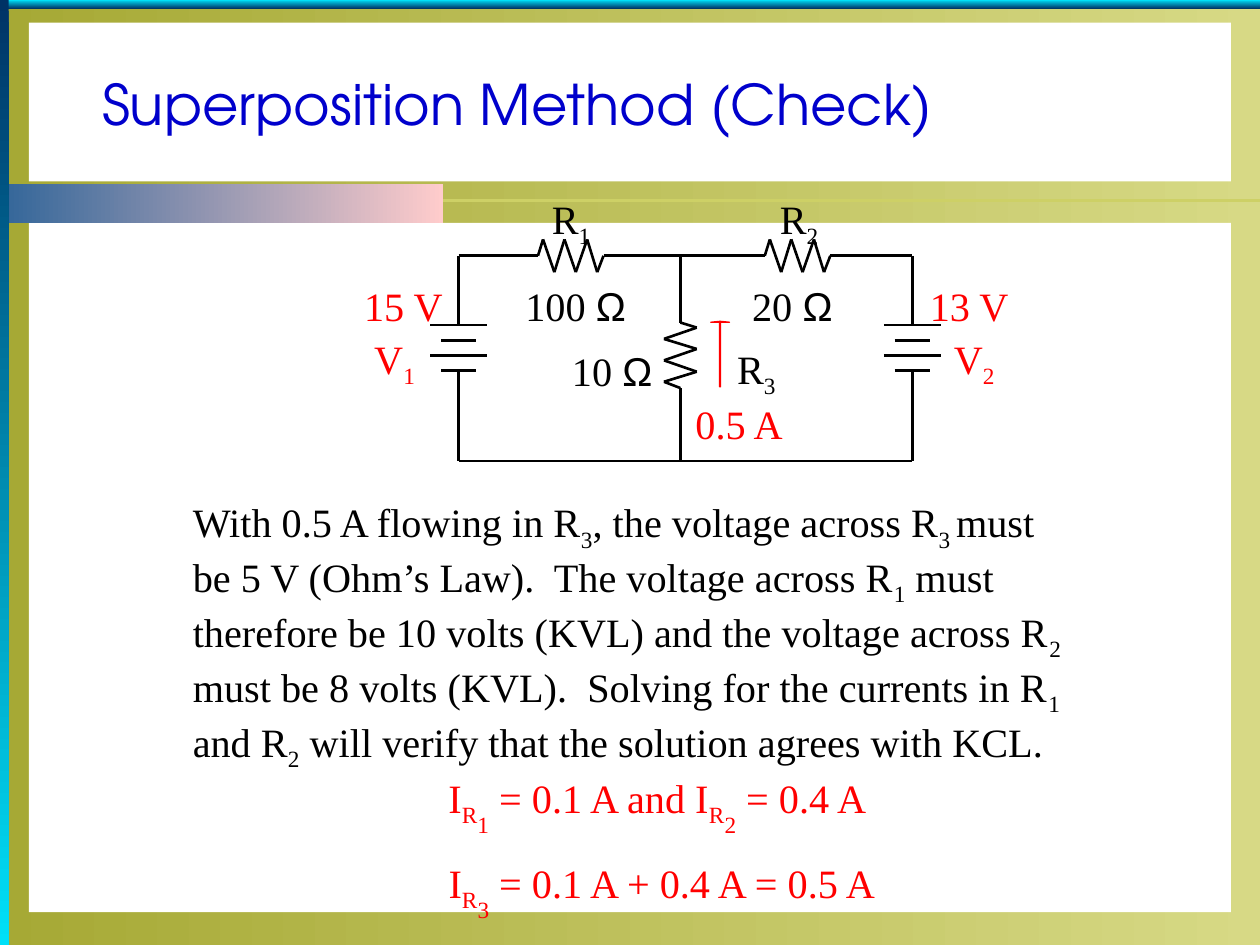
from itertools import pairwise
from lxml.etree import SubElement
from pptx import Presentation
from pptx.dml.color import RGBColor
from pptx.enum.shapes import MSO_CONNECTOR as CONNECTOR, MSO_SHAPE as SHAPE
from pptx.enum.text import MSO_ANCHOR as ANCHOR, PP_ALIGN as ALIGN
from pptx.oxml.ns import qn
from pptx.util import Inches, Pt

W, H = 10, 7.5
BLACK, RED, WHITE, BLUE = "000000", "FF0000", "FFFFFF", "0000CC"
SERIF, SANS, TITLE_FONT = "Times New Roman", "Arial", "TeX Gyre Adventor"
OLIVE, NAVY_CYAN, PINK_BLUE = ("D7D985", "A6A935"), ("003366", "00E0F8"), ("FFCCCC", "336699")

# Content: a line is plain text, with "_" before a subscript in braces, "__" for a deeper one
TITLE = "Superposition Method (Check)"
EXPLANATION = [
    "With 0.5 A flowing in R_{3}, the voltage across R_{3 }must",
    "be 5 V (Ohm’s Law).  The voltage across R_{1} must",
    "therefore be 10 volts (KVL) and the voltage across R_{2}",
    "must be 8 volts (KVL).  Solving for the currents in R_{1}",
    "and R_{2} will verify that the solution agrees with KCL.",
]
# left, top, width, height, colour, lines
LABELS = [
    (4.27, 1.48, 0.53, 0.55, BLACK, ["R_{1}"]),
    (6.08, 1.48, 0.53, 0.55, BLACK, ["R_{2}"]),
    (5.74, 2.67, 0.53, 0.55, BLACK, ["R_{3}"]),
    (2.86, 2.59, 0.55, 0.55, RED, ["V_{1}"]),
    (7.46, 2.59, 0.55, 0.55, RED, ["V_{2}"]),
    (4.06, 2.17, 1.03, 0.49, BLACK, ["100 Ω"]),
    (5.86, 2.17, 0.87, 0.49, BLACK, ["20 Ω"]),
    (4.43, 2.69, 0.87, 0.49, BLACK, ["10 Ω"]),
    (2.78, 2.17, 0.85, 0.49, RED, ["15 V"]),
    (7.27, 2.17, 0.85, 0.49, RED, ["13 V"]),
    (5.41, 3.11, 0.92, 0.49, RED, ["0.5 A"]),
    (1.42, 3.89, 7.11, 2.29, BLACK, EXPLANATION),
    (3.45, 6.08, 3.54, 0.63, RED, ["I_{R}__{1} = 0.1 A and I_{R}__{2} = 0.4 A"]),
    (3.45, 6.75, 3.61, 0.63, RED, ["I_{R}__{3} = 0.1 A + 0.4 A = 0.5 A"]),
]

# Circuit geometry
LEFT, MIDDLE, RIGHT, TOP, BOTTOM = 3.64, 5.4, 7.24, 2.03, 3.66
BATTERY_TOP, PLATE_GAP, PLATES = 2.58, 0.12, (0.45, 0.28, 0.45, 0.28)
BATTERY_END = BATTERY_TOP + PLATE_GAP * 3
R1_START, R2_START, R3_START, R_LENGTH = 4.27, 6.07, 2.56, 0.52
ZIGZAG = [(0, 0), (0.04, -1), (0.13, 1), (0.21, -1), (0.3, 1), (0.39, -1), (0.47, 1), (0.52, 0)]
SWING = 0.13
WIRES = [
    (LEFT, TOP, R1_START, TOP),
    (R1_START + R_LENGTH, TOP, R2_START, TOP),
    (R2_START + R_LENGTH, TOP, RIGHT, TOP),
    (LEFT, BOTTOM, RIGHT, BOTTOM),
    (MIDDLE, TOP, MIDDLE, R3_START),
    (MIDDLE, R3_START + R_LENGTH, MIDDLE, BOTTOM),
] + [wire for x in (LEFT, RIGHT)
     for wire in ((x, TOP, x, BATTERY_TOP), (x, BATTERY_END, x, BOTTOM))]

prs = Presentation()
prs.slide_width, prs.slide_height = Inches(W), Inches(H)
slide = prs.slides.add_slide(prs.slide_layouts[5])


def rgb(colour):
    return RGBColor.from_string(colour)


def panel(left, top, width, height, fill, angle=0, kind=SHAPE.RECTANGLE):
    """A borderless shape, in one colour or a two-colour gradient."""
    shape = slide.shapes.add_shape(kind, *map(Inches, (left, top, width, height)))
    shape.shadow.inherit = False
    shape.line.fill.background()
    if isinstance(fill, tuple):
        shape.fill.gradient()
        shape.fill.gradient_angle = angle
        for stop, position, colour in zip(shape.fill.gradient_stops, (0, 1), fill):
            stop.position, stop.color.rgb = position, rgb(colour)
    else:
        shape.fill.solid()
        shape.fill.fore_color.rgb = rgb(fill)
    return shape


def line(x1, y1, x2, y2, colour=BLACK):
    wire = slide.shapes.add_connector(CONNECTOR.STRAIGHT, *map(Inches, (x1, y1, x2, y2)))
    wire.line.color.rgb, wire.line.width = rgb(colour), Pt(1.5)
    SubElement(wire._element.spPr, qn("a:effectLst"))


def resistor(points):
    for start, end in pairwise(points):
        line(*start, *end)


def split_runs(text):
    """Yield (text, baseline) for each part of a marked line."""
    for part in text.replace("__{", "\n-50000\t").replace("_{", "\n-25000\t").replace("}", "\n").split("\n"):
        baseline, tab, words = part.partition("\t")
        yield (words, baseline) if tab else (part, None)


def label(left, top, width, height, colour, lines):
    frame = slide.shapes.add_textbox(*map(Inches, (left, top, width, height))).text_frame
    frame.word_wrap = False
    frame.margin_left = frame.margin_right = Inches(0.11)
    frame.margin_top = frame.margin_bottom = Inches(0.06)
    for i, text in enumerate(lines):
        para = frame.paragraphs[0] if i == 0 else frame.add_paragraph()
        for words, baseline in split_runs(text.replace("Ω", "\nΩ")):
            if not words:
                continue
            run = para.add_run()
            run.text = words
            run.font.size, run.font.color.rgb = Pt(23), rgb(colour)
            run.font.name = SANS if words == "Ω" else SERIF
            if baseline:
                run.font._element.set("baseline", baseline)


# Background frame
panel(0, 0, W, H, OLIVE, 180)
panel(0.23, 1.77, 9.54, 5.47, WHITE)
panel(0, 0, W, 0.07, NAVY_CYAN, 90)
line(0, 1.59, W, 1.59, "CDD066")
panel(0.01, 1.46, 3.51, 0.31, PINK_BLUE, 180)
panel(0, 0, 0.07, H, NAVY_CYAN, 270)
panel(0.23, 0.18, 9.54, 1.26, WHITE)

# Circuit: wires, batteries, resistors
for wire in WIRES:
    line(*wire)
for x in (LEFT, RIGHT):
    for i, plate in enumerate(PLATES):
        y = BATTERY_TOP + i * PLATE_GAP
        line(x - plate / 2, y, x + plate / 2, y)
for start in (R1_START, R2_START):
    resistor([(start + along, TOP + side * SWING) for along, side in ZIGZAG])
resistor([(MIDDLE - side * SWING, R3_START + along) for along, side in ZIGZAG])

# Current arrow
current = panel(5.64, 2.55, 0.15, 0.52, RED, kind=SHAPE.UP_ARROW)
current.adjustments[0] = current.adjustments[1] = 0.05
current.line.color.rgb, current.line.width = rgb(RED), Pt(0.75)

# Labels and explanation
for entry in LABELS:
    label(*entry)

# Title, brought in front of the frame
title = slide.shapes.title
slide.shapes._spTree.append(title._element)
title.left, title.top, title.width, title.height = map(Inches, (0.59, 0.5, 9.04, 0.63))
title.text_frame.text = TITLE
title.text_frame.vertical_anchor = ANCHOR.TOP
title.text_frame.margin_left = Inches(0.22)
heading = title.text_frame.paragraphs[0]
heading.alignment = ALIGN.LEFT
heading.font.name, heading.font.size = TITLE_FONT, Pt(32)
heading.font.color.rgb = rgb(BLUE)

prs.save("out.pptx")
